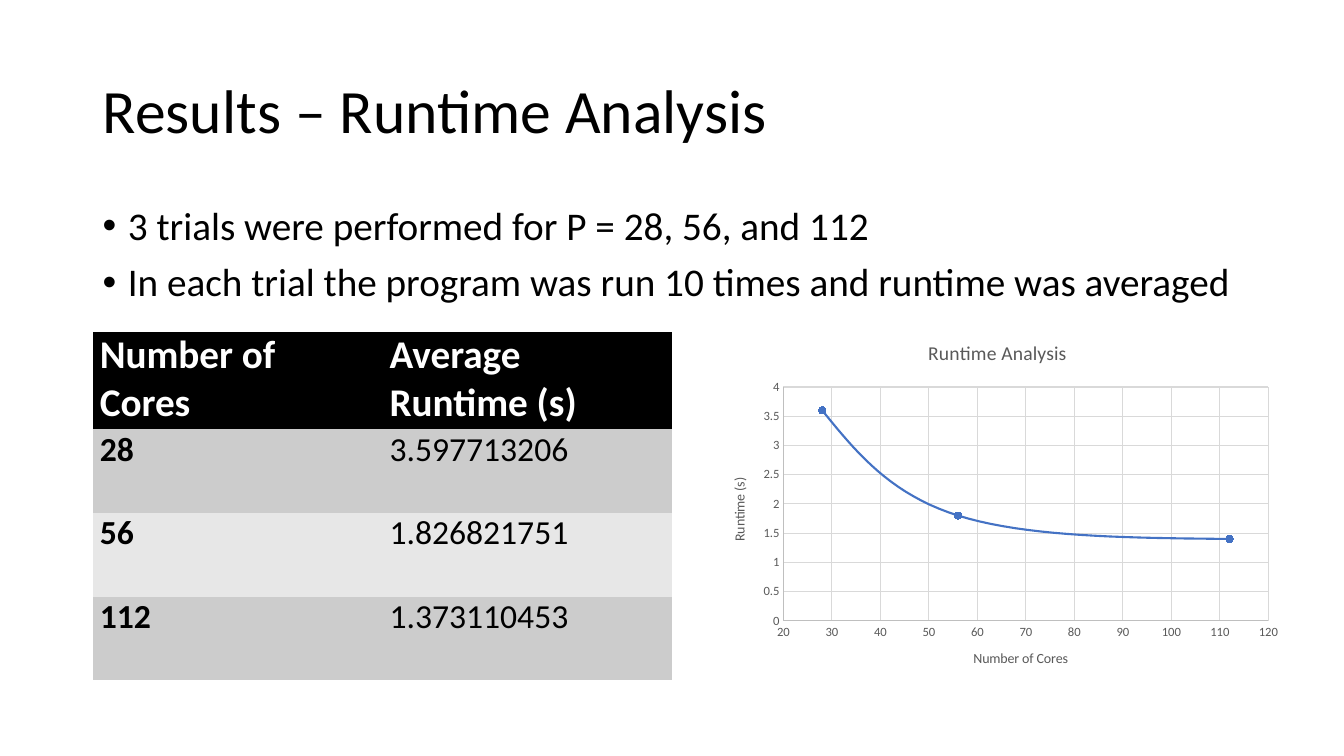
from dataclasses import dataclass
from typing import Any

from lxml import etree
from pptx import Presentation
from pptx.chart.data import XyChartData
from pptx.dml.color import RGBColor
from pptx.enum.chart import XL_CHART_TYPE, XL_MARKER_STYLE, XL_TICK_MARK
from pptx.enum.text import MSO_ANCHOR, PP_ALIGN
from pptx.oxml import parse_xml
from pptx.oxml.ns import nsdecls, qn
from pptx.util import Inches, Pt

BLACK = RGBColor(0x00, 0x00, 0x00)
WHITE = RGBColor(0xFF, 0xFF, 0xFF)
BAND_DARK = RGBColor(0xCC, 0xCC, 0xCC)
BAND_LIGHT = RGBColor(0xE7, 0xE7, 0xE7)
BLUE = RGBColor(0x44, 0x72, 0xC4)
LABEL = RGBColor(0x59, 0x59, 0x59)
AXIS_LINE = RGBColor(0xBF, 0xBF, 0xBF)
GRID = RGBColor(0xD9, 0xD9, 0xD9)
FONT = "Calibri"
NO_STYLE = "{2D5ABB26-0587-4C30-8999-92F81FD0307C}"


@dataclass(frozen=True)
class Box:
    left: float
    top: float
    width: float
    height: float

    def emu(self) -> tuple:
        return tuple(Inches(v) for v in (self.left, self.top, self.width, self.height))


@dataclass(frozen=True)
class Trial:
    cores: int
    runtime: float


@dataclass(frozen=True)
class AxisSpec:
    title: str
    low: float
    high: float
    step: float


TITLE_BOX = Box(0.92, 0.4, 11.5, 1.45)
BULLET_BOX = Box(0.92, 2, 11.5, 1.2)
TABLE_BOX = Box(0.92, 3.29, 5.75, 3.47)
CHART_BOX = Box(7.04, 3.21, 5.75, 3.62)
PLOT_BOX = Box(7.77, 3.84, 4.81, 2.32)
BULLETS = (
    "3 trials were performed for P = 28, 56, and 112",
    "In each trial the program was run 10 times and runtime was averaged",
)
HEADERS = ("Number of Cores", "Average Runtime (s)")
TRIALS = (Trial(28, 3.597713206), Trial(56, 1.826821751), Trial(112, 1.373110453))
CORES_AXIS = AxisSpec("Number of Cores", 20, 120, 10)
RUNTIME_AXIS = AxisSpec("Runtime (s)", 0, 4, 0.5)


def apply(target: Any, values: dict) -> None:
    for name, value in values.items():
        setattr(target, name, value)


def set_font(font: Any, size: float, color: RGBColor, bold: bool = False) -> None:
    apply(font, {"name": FONT, "size": Pt(size), "bold": bold})
    font.color.rgb = color


def write(p: Any, text: str, size: float, color: RGBColor, bold: bool = False) -> None:
    r = p.add_run()
    r.text = text
    set_font(r.font, size, color, bold)


def set_line(line: Any, color: RGBColor, width: float) -> None:
    line.color.rgb = color
    line.width = Pt(width)


def add_title(s: Any) -> None:
    sp = s.shapes.title
    apply(sp, dict(zip(("left", "top", "width", "height"), TITLE_BOX.emu())))
    tf = sp.text_frame
    apply(tf, {"vertical_anchor": MSO_ANCHOR.MIDDLE, "word_wrap": True})
    p = tf.paragraphs[0]
    apply(p, {"alignment": PP_ALIGN.LEFT, "line_spacing": 0.9})
    write(p, "Results – Runtime Analysis", 44, BLACK)


def add_bullets(s: Any) -> None:
    tf = s.shapes.add_textbox(*BULLET_BOX.emu()).text_frame
    tf.word_wrap = True
    for i, text in enumerate(BULLETS):
        p = tf.add_paragraph() if i else tf.paragraphs[0]
        apply(p, {"line_spacing": 0.9, "space_before": Pt(10)})
        pPr = p._p.get_or_add_pPr()
        pPr.set("marL", str(Inches(0.25)))
        pPr.set("indent", str(-Inches(0.25)))
        etree.SubElement(pPr, qn("a:buFont")).set("typeface", "Arial")
        etree.SubElement(pPr, qn("a:buChar")).set("char", "•")
        write(p, text, 28, BLACK)


def fill_cell(cell: Any, text: str, size: float, color: RGBColor,
              bold: bool, fill: RGBColor) -> None:
    apply(cell, {"margin_left": Inches(0.07), "margin_right": Inches(0.15),
                 "margin_top": 0, "margin_bottom": 0})
    cell.fill.solid()
    cell.fill.fore_color.rgb = fill
    write(cell.text_frame.paragraphs[0], text, size, color, bold)


def add_runtime_table(s: Any) -> None:
    table = s.shapes.add_table(len(TRIALS) + 1, len(HEADERS), *TABLE_BOX.emu()).table
    table._tbl.tblPr.find(qn("a:tableStyleId")).text = NO_STYLE
    for row, height in zip(table.rows, [0.97] + [0.83] * len(TRIALS)):
        row.height = Inches(height)
    for c, text in enumerate(HEADERS):
        fill_cell(table.cell(0, c), text, 28, WHITE, True, BLACK)
    for n, trial in enumerate(TRIALS, 1):
        band = BAND_DARK if n % 2 else BAND_LIGHT
        for c, value in enumerate((trial.cores, trial.runtime)):
            fill_cell(table.cell(n, c), str(value), 24, BLACK, c == 0, band)


def format_axis(axis: Any, spec: AxisSpec) -> None:
    apply(axis, {"minimum_scale": spec.low, "maximum_scale": spec.high,
                 "major_unit": spec.step, "has_major_gridlines": True,
                 "major_tick_mark": XL_TICK_MARK.NONE,
                 "minor_tick_mark": XL_TICK_MARK.NONE})
    apply(axis.tick_labels, {"number_format": "General", "number_format_is_linked": False})
    set_font(axis.tick_labels.font, 9, LABEL)
    set_line(axis.format.line, AXIS_LINE, 0.75)
    set_line(axis.major_gridlines.format.line, GRID, 0.75)
    write(axis.axis_title.text_frame.paragraphs[0], spec.title, 10, LABEL)


def place_plot(chart: Any) -> None:
    area = chart._chartSpace.chart.plotArea
    for old in area.findall(qn("c:layout")):
        area.remove(old)
    shares = {
        "x": (PLOT_BOX.left - CHART_BOX.left) / CHART_BOX.width,
        "y": (PLOT_BOX.top - CHART_BOX.top) / CHART_BOX.height,
        "w": PLOT_BOX.width / CHART_BOX.width,
        "h": PLOT_BOX.height / CHART_BOX.height,
    }
    sizes = "".join(f'<c:{k} val="{v:.4f}"/>' for k, v in shares.items())
    area.insert(0, parse_xml(
        f'<c:layout {nsdecls("c")}><c:manualLayout><c:layoutTarget val="inner"/>'
        f'<c:xMode val="edge"/><c:yMode val="edge"/>{sizes}</c:manualLayout></c:layout>'))


def add_runtime_chart(s: Any) -> None:
    data = XyChartData()
    points = data.add_series("Series 1")
    for trial in TRIALS:
        points.add_data_point(trial.cores, round(trial.runtime, 1))
    chart = s.shapes.add_chart(
        XL_CHART_TYPE.XY_SCATTER_SMOOTH, *CHART_BOX.emu(), data).chart
    set_font(chart.font, 10, BLACK)
    apply(chart, {"has_legend": False, "has_title": True})
    write(chart.chart_title.text_frame.paragraphs[0], "Runtime Analysis ", 14, LABEL)
    chart.chart_title.include_in_layout = False
    chart.plots[0].vary_by_categories = False
    format_axis(chart.category_axis, CORES_AXIS)
    format_axis(chart.value_axis, RUNTIME_AXIS)
    series = chart.plots[0].series[0]
    set_line(series.format.line, BLUE, 1.5)
    apply(series.marker, {"style": XL_MARKER_STYLE.CIRCLE, "size": 5})
    series.marker.format.fill.solid()
    series.marker.format.fill.fore_color.rgb = BLUE
    set_line(series.marker.format.line, BLUE, 0.75)
    for smooth in series._element.findall(qn("c:smooth")):
        smooth.set("val", "1")
    place_plot(chart)


def main() -> None:
    prs = Presentation()
    apply(prs, {"slide_width": Inches(13.33), "slide_height": Inches(7.5)})
    s = prs.slides.add_slide(prs.slide_layouts[5])
    add_title(s)
    add_bullets(s)
    add_runtime_table(s)
    add_runtime_chart(s)
    prs.save("out.pptx")


if __name__ == "__main__":
    main()
